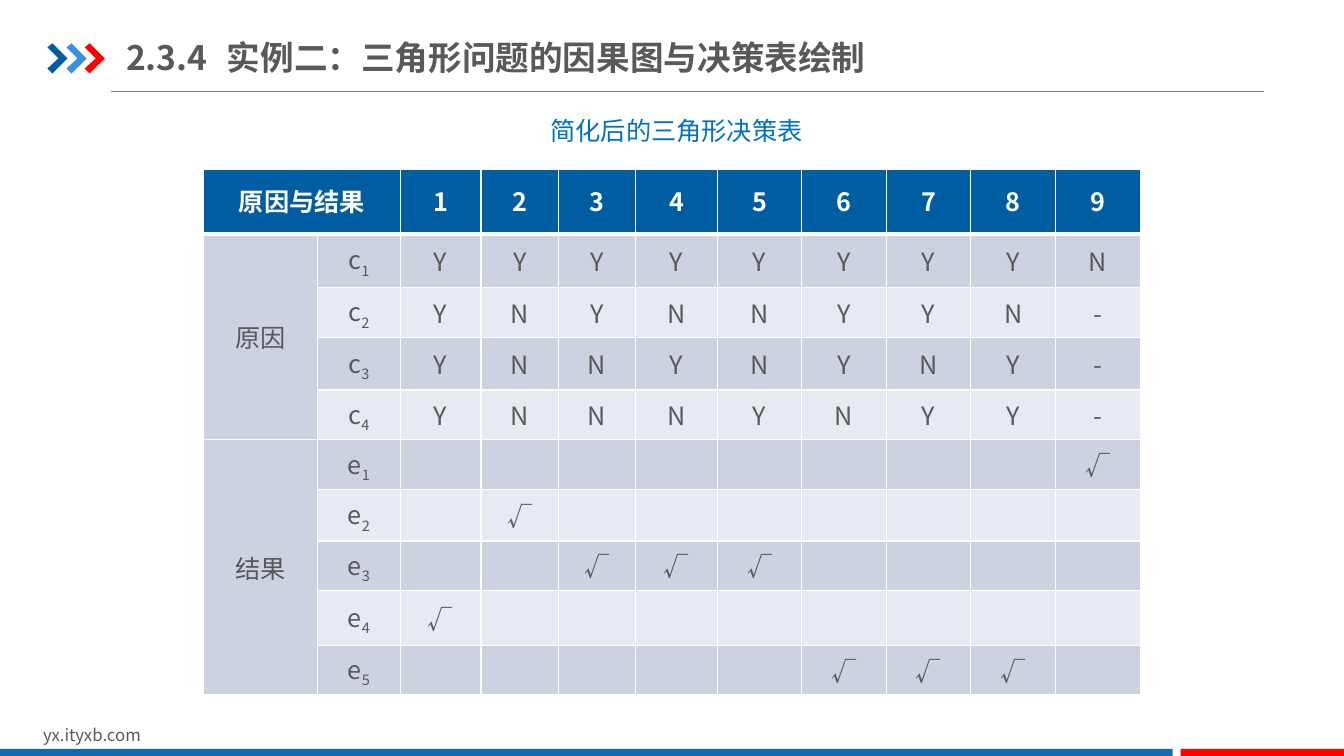
from dataclasses import dataclass

from lxml.etree import SubElement
from pptx import Presentation
from pptx.dml.color import RGBColor
from pptx.enum.shapes import MSO_CONNECTOR as CONN, MSO_SHAPE as SHAPE
from pptx.enum.text import MSO_ANCHOR as ANCHOR, MSO_AUTO_SIZE as FIT, PP_ALIGN as ALIGN
from pptx.oxml.ns import qn
from pptx.util import Inches, Pt

FONT = "Noto Sans CJK SC"
COLORS = {
    "navy": "005DA2", "sky": "3992DB", "red": "FF0000", "bar": "1369B2",
    "caption": "0070C0", "text": "595959", "rule": "808080",
    "white": "FFFFFF", "dark_band": "CCD2E0", "light_band": "E7EAF0",
}


@dataclass
class Block:
    left: float
    top: float
    width: float
    height: float
    color: str


@dataclass
class Label:
    text: str
    left: float
    top: float
    width: float
    height: float
    size: float
    color: str
    align: ALIGN = ALIGN.LEFT
    spacing: float = 1.0
    inset_x: float = 0.1
    inset_y: float = 0.05


def rgb(name: str) -> RGBColor:
    return RGBColor.from_string(COLORS[name])


def style(p, size: float, color: str, align: ALIGN, bold: bool = False,
          spacing: float = 1.0) -> None:
    p.alignment, p.line_spacing = align, spacing
    p.font.size, p.font.bold, p.font.name = Pt(size), bold, FONT
    p.font.color.rgb = rgb(color)
    SubElement(p._p.pPr.find(qn("a:defRPr")), qn("a:ea"), typeface=FONT)


def set_insets(tf, x: float, y: float) -> None:
    tf.margin_left = tf.margin_right = Inches(x)
    tf.margin_top = tf.margin_bottom = Inches(y)


def paint(sp, color: str) -> None:
    sp.shadow.inherit = False
    sp.fill.solid()
    sp.fill.fore_color.rgb = rgb(color)
    sp.line.fill.background()


def draw_block(s, b: Block) -> None:
    box = map(Inches, (b.left, b.top, b.width, b.height))
    paint(s.shapes.add_shape(SHAPE.RECTANGLE, *box), b.color)


def draw_label(s, lb: Label) -> None:
    box = map(Inches, (lb.left, lb.top, lb.width, lb.height))
    tf = s.shapes.add_textbox(*box).text_frame
    tf.word_wrap = True
    set_insets(tf, lb.inset_x, lb.inset_y)
    tf.text = lb.text
    style(tf.paragraphs[0], lb.size, lb.color, lb.align, spacing=lb.spacing)


def draw_chevron(group, left: float, color: str) -> None:
    outline = [(0, 0.47), (0.05, 0.43), (0.2, 0.58), (0.05, 0.73), (0, 0.68), (0.11, 0.58)]
    points = [(Inches(left + x), Inches(y)) for x, y in outline]
    builder = group.shapes.build_freeform(*points[0], scale=1.0)
    builder.add_line_segments(points[1:], close=True)
    paint(builder.convert_to_shape(), color)


def set_borders(cell, bottom: float) -> None:
    tc_pr = cell._tc.get_or_add_tcPr()
    for i, (side, width) in enumerate({"L": 1, "R": 1, "T": 1, "B": bottom}.items()):
        ln = SubElement(tc_pr, qn(f"a:ln{side}"), w=str(Pt(width)))
        fill = SubElement(ln, qn("a:solidFill"))
        SubElement(fill, qn("a:srgbClr"), val=COLORS["white"])
        tc_pr.insert(i, ln)


def fill_cell(cell, text: str, color: str, header: bool = False) -> None:
    cell.fill.solid()
    cell.fill.fore_color.rgb = rgb(color)
    set_borders(cell, 3 if header else 1)
    cell.vertical_anchor = ANCHOR.MIDDLE
    p = cell.text_frame.paragraphs[0]
    if text[:1] in ("c", "e"):  # condition or effect with its index
        p.add_run().text = text[0]
        r = p.add_run()
        r.text = text[1]
        r._r.get_or_add_rPr().set("baseline", "-25000")
    elif text:
        p.add_run().text = text
    style(p, 18, "white" if header else "text", ALIGN.CENTER, header, 0.9 if header else 1.0)


# Decision table: a dot is an empty outcome
COL_WIDTHS = [1.13, 0.82, 0.8, 0.77, 0.76, 0.82, 0.83] + [0.84] * 4
ROW_HEIGHTS = [0.64, 0.53, 0.5, 0.52, 0.49, 0.49, 0.51, 0.49, 0.54, 0.49]
RULES = {
    "c1": "YYYYYYYYN", "c2": "YNYNNYYN-", "c3": "YNNYNYNY-", "c4": "YNNNYNYY-",
    "e1": "........√", "e2": ".√.......", "e3": "..√√√....",
    "e4": "√........", "e5": ".....√√√.",
}
GROUPS = {1: "原因", 5: "结果"}


def draw_table(s) -> None:
    box = map(Inches, (2.02, 1.68, sum(COL_WIDTHS), sum(ROW_HEIGHTS)))
    tbl = s.shapes.add_table(len(ROW_HEIGHTS), len(COL_WIDTHS), *box).table
    tbl.horz_banding = False
    for col, width in zip(tbl.columns, COL_WIDTHS):
        col.width = Inches(width)
    for row, height in zip(tbl.rows, ROW_HEIGHTS):
        row.height = Inches(height)

    for j, text in enumerate(["原因与结果", "", *"123456789"]):
        fill_cell(tbl.cell(0, j), text, "navy", header=True)
    for i, (name, values) in enumerate(RULES.items(), start=1):
        band = "dark_band" if i % 2 else "light_band"
        fill_cell(tbl.cell(i, 0), GROUPS.get(i, ""), "dark_band")
        fill_cell(tbl.cell(i, 1), name, band)
        for j, value in enumerate(values, start=2):
            cell = tbl.cell(i, j)
            fill_cell(cell, value.strip("."), band)
            set_insets(cell, 0.07, 0)

    tbl.cell(0, 0).merge(tbl.cell(0, 1))
    tbl.cell(1, 0).merge(tbl.cell(4, 0))
    tbl.cell(5, 0).merge(tbl.cell(9, 0))


BARS = [Block(0, 7.43, 11.63, 0.09, "bar"), Block(11.71, 7.43, 1.63, 0.09, "red")]
LABELS = [
    Label("yx.ityxb.com", 0.33, 7.14, 3.18, 0.3, 12, "text"),
    Label("简化后的三角形决策表", 5.33, 0.92, 3.09, 0.73, 18, "caption",
          ALIGN.JUSTIFY, 1.5, 0.13, 0.07),
]
CHEVRONS = {"navy": 0.47, "sky": 0.66, "red": 0.84}


def main() -> None:
    prs = Presentation()
    prs.slide_width, prs.slide_height = Inches(13.33), Inches(7.5)
    s = prs.slides.add_slide(prs.slide_layouts[5])

    # Title
    title = s.shapes.title
    title.left, title.top, title.width, title.height = map(Inches, (1.25, 0.29, 7.67, 0.55))
    tf = title.text_frame
    tf.text = "2.3.4\t实例二：三角形问题的因果图与决策表绘制"
    tf.auto_size, tf.word_wrap, tf.vertical_anchor = FIT.NONE, True, ANCHOR.MIDDLE
    set_insets(tf, 0, 0.07)
    style(tf.paragraphs[0], 24, "text", ALIGN.LEFT, bold=True)

    # Rule under the title
    rule = s.shapes.add_connector(CONN.STRAIGHT, *map(Inches, (1.1, 0.91, 12.54, 0.91)))
    rule.line.color.rgb, rule.line.width = rgb("rule"), Pt(0.75)
    SubElement(rule._element.spPr, qn("a:effectLst"))

    # Chevrons beside the title
    group = s.shapes.add_group_shape()
    for color, left in CHEVRONS.items():
        draw_chevron(group, left, color)

    # Footer bars, table and labels
    for bar in BARS:
        draw_block(s, bar)
    draw_table(s)
    for label in LABELS:
        draw_label(s, label)

    prs.save("out.pptx")


if __name__ == "__main__":
    main()
